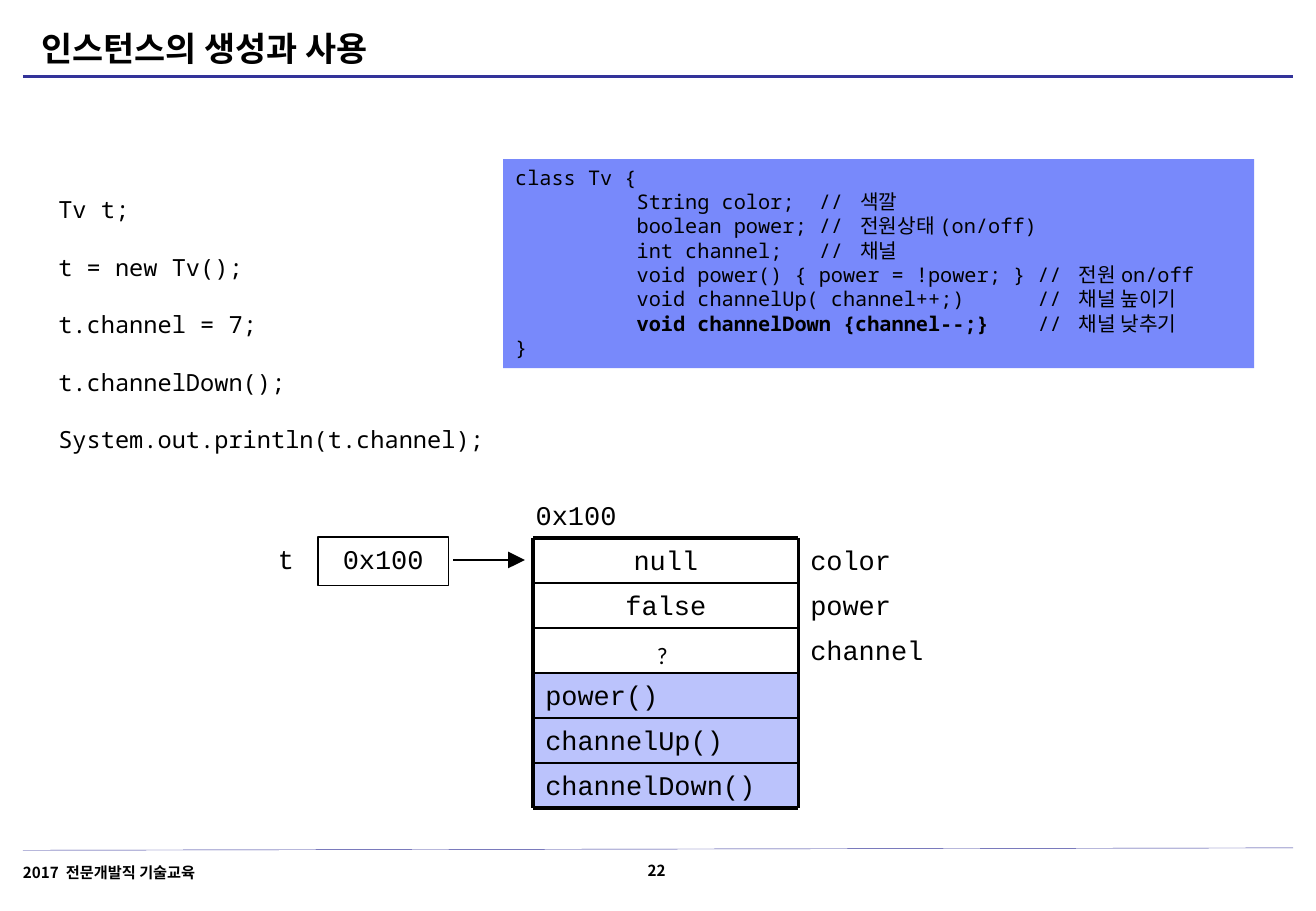
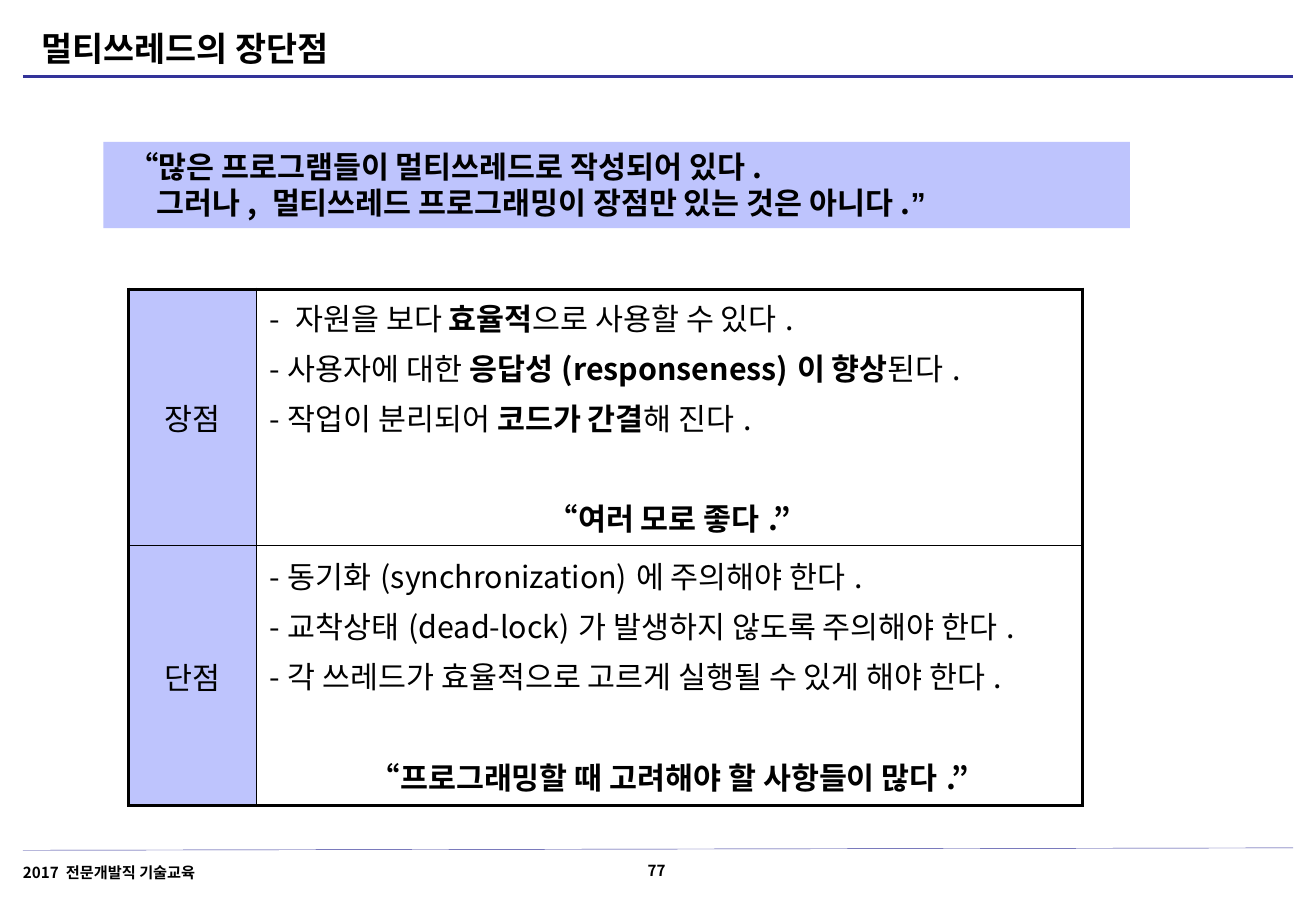
import dataclasses

import lxml.etree
import pptx
import pptx.dml.color
import pptx.enum.shapes
import pptx.enum.text
import pptx.oxml.ns
import pptx.util

Cm, Pt = pptx.util.Cm, pptx.util.Pt
RGB = pptx.dml.color.RGBColor.from_string
ALIGN = pptx.enum.text.PP_ALIGN
ANCHOR = pptx.enum.text.MSO_ANCHOR
RECT = pptx.enum.shapes.MSO_SHAPE.RECTANGLE
STRAIGHT = pptx.enum.shapes.MSO_CONNECTOR.STRAIGHT
qn = pptx.oxml.ns.qn


@dataclasses.dataclass(frozen=True)
class Theme:
    ink: str = "000000"
    rule: str = "333399"
    blue: str = "7889FB"
    pale: str = "BEC4FD"
    sans: str = "Noto Sans CJK KR"
    mono: str = "Noto Sans Mono"
    cell: str = "Courier New"
    mark: str = "Calibri"
    quote: str = "Arial"
    title: int = 20
    body: int = 18
    data: int = 16
    code: int = 14
    list: int = 12
    foot: int = 9
    thick: float = 2.25
    thin: float = 1


T = Theme()


def put(item, values):
    for name, value in values.items():
        setattr(item, name, value)


def add(parent, tag, **attrs):
    return lxml.etree.SubElement(parent, qn(tag), attrs)


def add_run(para, text, font, size, bold=False):
    run = para.add_run()
    run.text = text
    put(run.font, {"name": font, "size": Pt(size), "bold": bold})
    run.font.color.rgb = RGB(T.ink)
    props = run.font._element
    props.set("kern", "0")
    add(props, "a:ea", typeface=T.sans)


def write(frame, lines, font, size, bold=False, anchor=ANCHOR.TOP, **form):
    """Fill a text frame; bars in a line switch bold on and off."""
    put(frame, {"word_wrap": True, "vertical_anchor": anchor})
    for i, line in enumerate(lines):
        para = frame.add_paragraph() if i else frame.paragraphs[0]
        put(para, {"alignment": ALIGN.LEFT, **form})
        for j, part in enumerate(line.split("|")):
            if part:
                add_run(para, part, font, size, bold or j % 2 == 1)
    return frame.paragraphs


def indent(para, left, first=0, bullet=None):
    props = para._element.get_or_add_pPr()
    props.set("marL", str(Cm(left)))
    props.set("indent", str(Cm(first)))
    if bullet:
        add(props, "a:buFont", typeface=T.sans)
        add(props, "a:buChar", char=bullet)


def add_tab(para, place):
    tabs = add(para._element.get_or_add_pPr(), "a:tabLst")
    add(tabs, "a:tab", pos=str(Cm(place)), algn="l")


def add_label(slide, box, text, font, size, **form):
    shape = slide.shapes.add_textbox(*map(Cm, box))
    return write(shape.text_frame, [text], font, size, **form)


def add_box(slide, box, fill=None, line=None, alpha=None):
    shape = slide.shapes.add_shape(RECT, *map(Cm, box))
    shape.shadow.inherit = False
    if fill:
        shape.fill.solid()
        shape.fill.fore_color.rgb = RGB(fill)
        if alpha:
            color = shape._element.spPr.find(".//" + qn("a:srgbClr"))
            add(color, "a:alpha", val=str(alpha * 1000))
    else:
        shape.fill.background()
    if line:
        shape.line.color.rgb = RGB(T.ink)
        shape.line.width = Pt(line)
    else:
        shape.line.fill.background()
    return shape


def add_line(slide, ends, width, color=T.ink, arrow=False):
    line = slide.shapes.add_connector(STRAIGHT, *map(Cm, ends))
    line.line.color.rgb = RGB(color)
    line.line.width = Pt(width)
    props = line._element.spPr
    if arrow:
        add(props.find(qn("a:ln")), "a:tailEnd", type="triangle",
            w="lg", len="lg")
    add(props, "a:effectLst")


def add_slide(deck, title, number):
    slide = deck.slides.add_slide(deck.slide_layouts[5])
    add_line(slide, (0.48, 17.78, 27.03, 17.73), 0.25, T.rule)
    add_line(slide, (0.48, 1.6, 27.03, 1.6), 2, T.rule)
    add_label(slide, (0.23, 17.88, 7.52, 0.69), "2017 전문개발직 기술교육",
              T.sans, T.foot, bold=True, line_spacing=1.1)
    add_label(slide, (12.67, 17.91, 2.11, 0.61), number, T.sans, T.foot,
              bold=True, anchor=ANCHOR.BOTTOM, alignment=ALIGN.CENTER)
    head = slide.shapes.title
    put(head, {"left": Cm(0.61), "top": Cm(0.45),
               "width": Cm(21.82), "height": Cm(1.12)})
    head.text_frame.auto_size = pptx.enum.text.MSO_AUTO_SIZE.NONE
    write(head.text_frame, [title], T.sans, T.title, bold=True,
          anchor=ANCHOR.MIDDLE)
    return slide


def add_object(slide, left, top, width, step):
    """Draw the instance in memory: fields above, methods below."""
    fields = (("null", "color"), ("false", "power"), ("?", "channel"))
    methods = ("power()", "channelUp()", "channelDown()")
    count = len(fields) + len(methods)
    right, end = left + width, top + count * step
    for i, (value, name) in enumerate(fields):
        y = top + i * step
        known = value != "?"
        font, size = (T.cell, T.data) if known else (T.mark, T.code)
        paras = add_label(slide, (left, y, width, step), value, font, size,
                          alignment=ALIGN.CENTER)
        if not known:
            add_run(paras[0], " ", T.sans, T.body, True)
        add_label(slide, (right, y, 3.48, step), name, T.cell, T.data)
    for i, name in enumerate(methods, len(fields)):
        box = add_box(slide, (left, top + i * step, width, step),
                      T.blue, alpha=50)
        write(box.text_frame, [name], T.cell, T.data)
    for i in range(count + 1):
        y = top + i * step
        add_line(slide, (left, y, right, y),
                 T.thin if 0 < i < count else T.thick)
    for x in (left, right):
        add_line(slide, (x, top, x, end), T.thick)
    add_label(slide, (left - 0.2, top - step, 2.82, step), "0x100",
              T.cell, T.data)


def draw_usage(deck):
    slide = add_slide(deck, "인스턴스의 생성과 사용", "22")
    calls = (("Tv t;", 4.65), ("t = new Tv();", 6.93),
             ("t.channel = 7;", 7.7), ("t.channelDown();", 8.43),
             ("System.out.println(t.channel);", 15.39))
    for i, (call, width) in enumerate(calls):
        add_label(slide, (0.97, 3.96 + i * 1.2, width, 0.86), call,
                  T.mono, T.code)
    code = add_box(slide, (10.52, 3.33, 15.7, 4.37), T.blue)
    paras = write(code.text_frame, (
        "class Tv {",
        "\tString color;  // 색깔",
        "\tboolean power; // 전원상태(on/off)",
        "\tint channel;   // 채널",
        "\tvoid power() { power = !power; } // 전원on/off",
        "\tvoid channelUp( channel++;)      // 채널 높이기",
        "\t|void channelDown {channel--;}|    // 채널 낮추기",
        "}"), T.mono, T.list)
    for para in paras[1:-1]:
        add_tab(para, 2.54)
    add_label(slide, (5.56, 11.23, 1.09, 0.94), "t", T.cell, T.data)
    ref = add_box(slide, (6.65, 11.23, 2.72, 1.02), line=0.75)
    write(ref.text_frame, ["0x100"], T.cell, T.data, alignment=ALIGN.CENTER)
    add_line(slide, (9.47, 11.71, 10.97, 11.71), T.thin, arrow=True)
    add_object(slide, 11.15, 11.25, 5.54, 0.94)


def edge(cell, sides):
    """Set border widths in the order left, right, top, bottom."""
    props = cell._tc.get_or_add_tcPr()
    for i, (side, width) in enumerate(zip("LRTB", sides)):
        line = lxml.etree.Element(qn("a:ln" + side), w=str(Pt(width)))
        add(add(line, "a:solidFill"), "a:srgbClr", val=T.ink)
        props.insert(i, line)


def add_points(cell, points, verdict, hang):
    """Write a bulleted list, its first text set in by hang, and a verdict."""
    paras = write(cell.text_frame, (*points, f"|{verdict}|"), T.sans, T.body)
    for i, para in enumerate(paras[:-1]):
        left = 0.38 if i else hang
        if i:
            para.space_before = Pt(3.6)
        indent(para, left, -left, "-")
    put(paras[-1], {"alignment": ALIGN.CENTER, "space_before": Pt(33.3)})
    indent(paras[-1], 0)


def add_grid(slide, rows):
    table = slide.shapes.add_table(len(rows), 2, Cm(2.69), Cm(6.05),
                                   Cm(19.94), Cm(10.8)).table
    put(table, {"first_row": False, "horz_banding": False})
    for col, width in zip(table.columns, (2.67, 17.27)):
        col.width = Cm(width)
    for i, (name, height, hang, points, verdict) in enumerate(rows):
        table.rows[i].height = Cm(height)
        head, body = table.cell(i, 0), table.cell(i, 1)
        head.fill.solid()
        head.fill.fore_color.rgb = RGB(T.pale)
        body.fill.background()
        write(head.text_frame, [name], T.sans, T.body,
              alignment=ALIGN.CENTER)
        add_points(body, points, verdict, hang)
        ends = (T.thin if i else T.thick,
                T.thin if i < len(rows) - 1 else T.thick)
        edge(head, (T.thick, T.thin, *ends))
        edge(body, (T.thin, T.thick, *ends))
        for cell in (head, body):
            put(cell, {"vertical_anchor": ANCHOR.MIDDLE,
                       "margin_left": Cm(0.28), "margin_right": Cm(0.28),
                       "margin_top": Cm(0.13), "margin_bottom": Cm(0.13)})


def draw_thread(deck):
    slide = add_slide(deck, "멀티쓰레드의 장단점", "77")
    add_grid(slide, (
        ("장점", 5.36, 0.54, (
            "자원을 보다 |효율적|으로 사용할 수 있다.",
            "사용자에 대한 |응답성(responseness)이 향상|된다.",
            "작업이 분리되어 |코드가 간결|해 진다."),
         "“여러 모로 좋다.”"),
        ("단점", 5.44, 0.38, (
            "동기화(synchronization)에 주의해야 한다.",
            "교착상태(dead-lock)가 발생하지 않도록 주의해야 한다.",
            "각 쓰레드가 효율적으로 고르게 실행될 수 있게 해야 한다."),
         "“프로그래밍할 때 고려해야 할 사항들이 많다.”")))
    band = add_box(slide, (2.16, 2.97, 21.46, 1.8), T.pale)
    first, last = write(band.text_frame, (
        "“많은 프로그램들이 멀티쓰레드로 작성되어 있다.",
        "그러나, 멀티쓰레드 프로그래밍이 장점만 있는 것은 아니다."),
        T.sans, T.body, bold=True)
    add_run(last, "”", T.quote, T.body, True)
    indent(first, 0.87, -0.6)
    indent(last, 0.87)


def main():
    deck = pptx.Presentation()
    put(deck, {"slide_width": Cm(27.51), "slide_height": Cm(19.05)})
    draw_usage(deck)
    draw_thread(deck)
    deck.save("out.pptx")


if __name__ == "__main__":
    main()
